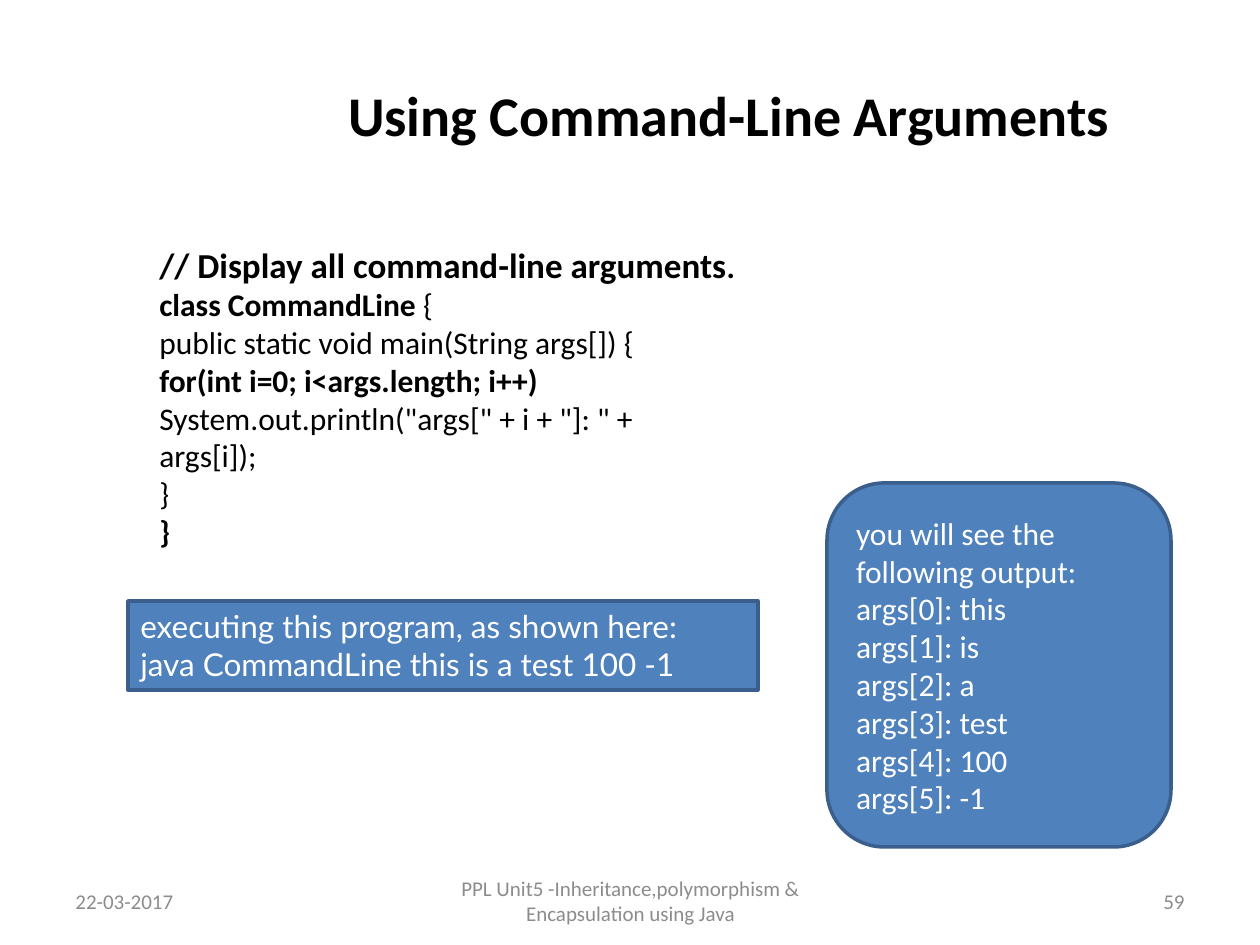
"""Build the slide on Java command-line arguments."""
from dataclasses import dataclass
from typing import Any, NamedTuple

from pptx import Presentation
from pptx import util as u
from pptx.dml.color import RGBColor
from pptx.enum import shapes, text

PX = u.Inches(1) / 126


@dataclass(frozen=True)
class Theme:
    ink: str = "000000"
    muted: str = "8C8C8C"
    light: str = "FFFFFF"
    panel: str = "4F81BD"
    edge: str = "3A5F8C"
    font: str = "Calibri"
    command_font: str = "Lato"
    title: int = 32
    heading: int = 20
    body: int = 18
    footer: int = 12
    border: int = 2


THEME = Theme()


class Area(NamedTuple):
    left: int
    top: int
    width: int
    height: int


class Span(NamedTuple):
    words: str
    bold: bool = False
    size: int = THEME.body


@dataclass(frozen=True)
class Block:
    area: Area
    lines: list[list[Span]]
    color: str = THEME.ink
    font: str = THEME.font
    align: Any = text.PP_ALIGN.LEFT
    anchor: Any = text.MSO_ANCHOR.MIDDLE
    fit: Any = text.MSO_AUTO_SIZE.NONE
    preset: Any = None


def px(length: int) -> u.Emu:
    """Turn px into EMU."""
    return u.Emu(round(length * PX))


def apply(target: Any, values: dict[str, Any]) -> None:
    """Set each named attribute on the target."""
    for name, value in values.items():
        setattr(target, name, value)


def plain(*lines: str, size: int = THEME.body) -> list[list[Span]]:
    """Make one regular span for each line."""
    return [[Span(line, size=size)] for line in lines]


def write(box: Any, block: Block) -> None:
    """Place a box and fill it with formatted paragraphs."""
    apply(box, dict(zip(Area._fields, map(px, block.area))))
    frame = box.text_frame
    apply(frame, {"word_wrap": True, "auto_size": block.fit,
                  "vertical_anchor": block.anchor})
    for index, line in enumerate(block.lines):
        para = frame.add_paragraph() if index else frame.paragraphs[0]
        para.alignment = block.align
        for span in line:
            run = para.add_run()
            run.text = span.words
            apply(run.font, {"name": block.font, "bold": span.bold,
                             "size": u.Pt(span.size)})
            run.font.color.rgb = RGBColor.from_string(block.color)


def draw(slide: Any, block: Block) -> None:
    """Add a text box or a filled panel to the slide."""
    place = map(px, block.area)
    if block.preset is None:
        box = slide.shapes.add_textbox(*place)
    else:
        box = slide.shapes.add_shape(block.preset, *place)
        box.shadow.inherit = False
        box.fill.solid()
        box.fill.fore_color.rgb = RGBColor.from_string(THEME.panel)
        box.line.color.rgb = RGBColor.from_string(THEME.edge)
        box.line.width = u.Pt(THEME.border)
    write(box, block)


def footer(left: int, width: int, words: str, align: Any) -> Block:
    """Describe one footer field."""
    return Block(Area(left, 876, width, 50), plain(words, size=THEME.footer),
                 color=THEME.muted, align=align)


TITLE = Block(Area(263, 35, 932, 158),
              [[Span("Using Command-Line Arguments", True, THEME.title)]],
              align=text.PP_ALIGN.CENTER)

CODE = Block(
    Area(147, 237, 630, 323),
    [
        [Span("// Display all command-line arguments", True, THEME.heading),
         Span(".", True)],
        [Span("class CommandLine ", True), Span("{")],
        *plain("public static void main(String args[]) {"),
        [Span("for(int i=0; i<args.length; i++)", True)],
        *plain('System.out.println("args[" + i + "]: " +', "args[i]);", "}"),
        [Span("}", True)],
    ],
    anchor=text.MSO_ANCHOR.TOP, fit=text.MSO_AUTO_SIZE.SHAPE_TO_FIT_TEXT)

COMMAND = Block(
    Area(128, 601, 630, 89),
    plain("executing this program, as shown here:",
          "java CommandLine this is a test 100 -1"),
    color=THEME.light, font=THEME.command_font, anchor=text.MSO_ANCHOR.TOP,
    fit=text.MSO_AUTO_SIZE.SHAPE_TO_FIT_TEXT,
    preset=shapes.MSO_SHAPE.RECTANGLE)

ARGUMENTS = ["this", "is", "a", "test", "100", "-1"]
OUTPUT = Block(
    Area(827, 483, 344, 364),
    plain("you will see the following output:",
          *(f"args[{i}]: {value}" for i, value in enumerate(ARGUMENTS))),
    color=THEME.light, preset=shapes.MSO_SHAPE.ROUNDED_RECTANGLE)

FOOTERS = [
    footer(63, 294, "22-03-2017", text.PP_ALIGN.LEFT),
    footer(431, 399,
           "PPL Unit5 -Inheritance,polymorphism & Encapsulation using Java",
           text.PP_ALIGN.CENTER),
    footer(903, 294, "59", text.PP_ALIGN.RIGHT),
]


def main() -> None:
    """Build and save the deck."""
    deck = Presentation()
    apply(deck, {"slide_width": px(1260), "slide_height": px(945)})
    slide = deck.slides.add_slide(deck.slide_layouts.get_by_name("Title Only"))
    write(slide.shapes.title, TITLE)
    for block in [*FOOTERS, CODE, COMMAND, OUTPUT]:
        draw(slide, block)
    deck.save("out.pptx")


if __name__ == "__main__":
    main()
